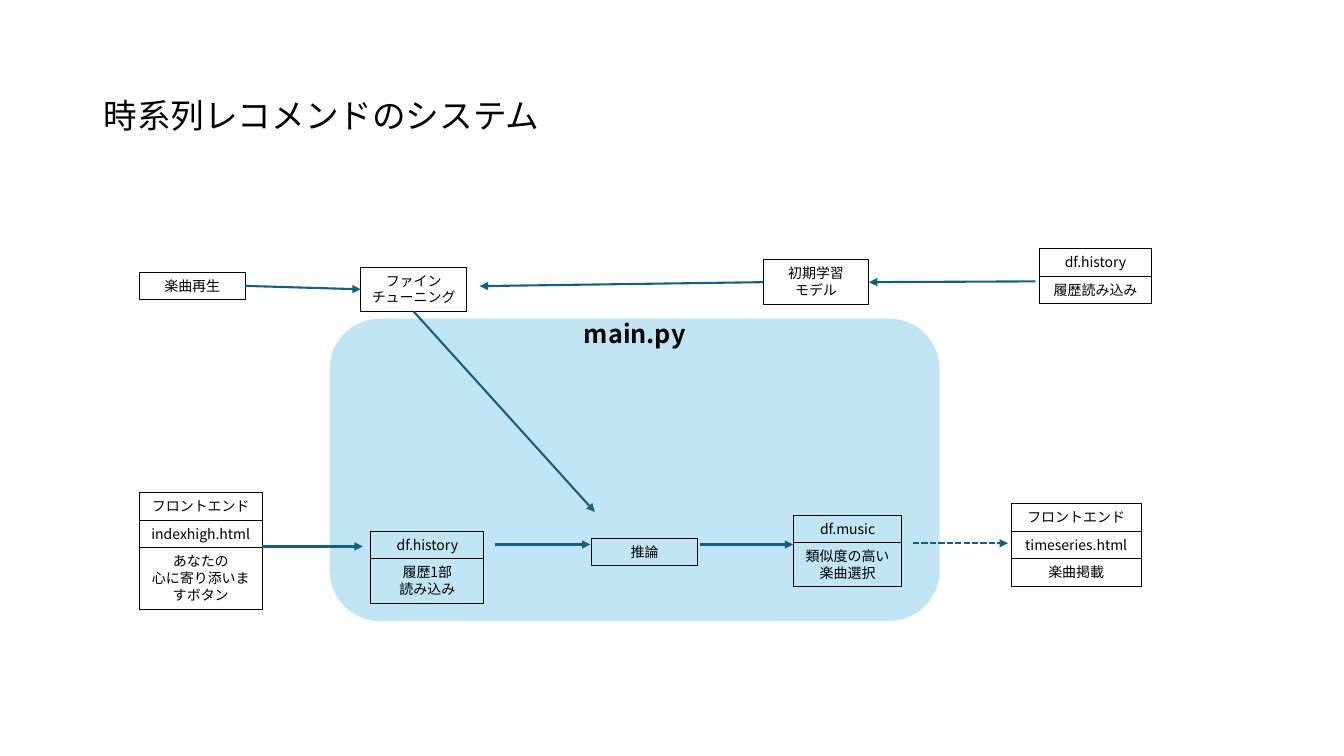
from lxml import etree
from pptx import Presentation
from pptx.dml.color import RGBColor
from pptx.enum.dml import MSO_LINE_DASH_STYLE as Dash
from pptx.enum.shapes import MSO_CONNECTOR as Connector, MSO_SHAPE as Shape
from pptx.enum.text import MSO_ANCHOR as Anchor, MSO_AUTO_SIZE as AutoSize, PP_ALIGN as Align
from pptx.oxml.ns import qn
from pptx.util import Cm, Pt

TOP, LEFT, BOTTOM, RIGHT = 0, 1, 2, 3


def color(value):
    return RGBColor.from_string(value)


class Diagram:
    font = "Noto Sans CJK JP"
    ink, panel_fill, arrow_line = "000000", "C1E5F5", "156082"
    line_height, box_padding = 0.43, 0.26

    def __init__(self, page):
        self.shapes = page.shapes

    def set_text(self, frame, text, size, align=Align.CENTER, bold=False):
        frame.word_wrap = True
        frame.text = text
        for para in frame.paragraphs:
            para.alignment = align
            font = para.font
            font.name, font.size, font.bold = self.font, Pt(size), bold
            font.color.rgb = color(self.ink)
            latin = font._element.find(qn("a:latin"))
            east_asian = etree.Element(qn("a:ea"), typeface=self.font)
            latin.addnext(east_asian)

    def label(self, text, left, top, width, height, size, **style):
        box = self.shapes.add_textbox(Cm(left), Cm(top), Cm(width), Cm(height))
        box.text_frame.vertical_anchor = Anchor.MIDDLE
        self.set_text(box.text_frame, text, size, **style)

    def panel(self, left, top, width, height):
        box = self.shapes.add_shape(Shape.ROUNDED_RECTANGLE, Cm(left), Cm(top), Cm(width), Cm(height))
        box.shadow.inherit = False
        box.fill.solid()
        box.fill.fore_color.rgb = color(self.panel_fill)
        box.line.fill.background()

    def stack(self, left, top, width, *rows):
        """Pile up boxes, each given as (text, number of lines)."""
        for text, lines in rows:
            height = self.box_padding + self.line_height * lines
            box = self.shapes.add_shape(Shape.RECTANGLE, Cm(left), Cm(top), Cm(width), Cm(height))
            box.shadow.inherit = False
            box.fill.background()
            box.line.color.rgb = color(self.ink)
            box.line.width = Pt(0.75)
            box.text_frame.vertical_anchor = Anchor.TOP
            self.set_text(box.text_frame, text, 10)
            box.text_frame.auto_size = AutoSize.SHAPE_TO_FIT_TEXT
            top += height
        return box

    def arrow(self, start, end, begin=None, finish=None, dashed=False):
        """Draw an arrow; begin and finish are (box, side) joints."""
        line = self.shapes.add_connector(Connector.STRAIGHT, *map(Cm, start + end))
        line.line.color.rgb = color(self.arrow_line)
        line.line.width = Pt(1.5)
        if dashed:
            line.line.dash_style = Dash.SQUARE_DOT
        if begin:
            line.begin_connect(*begin)
        if finish:
            line.end_connect(*finish)
        etree.SubElement(line.get_or_add_ln(), qn("a:tailEnd"), type="triangle")
        etree.SubElement(line._element.spPr, qn("a:effectLst"))


def main():
    deck = Presentation()
    deck.slide_width, deck.slide_height = Cm(33.87), Cm(19.05)
    diagram = Diagram(deck.slides.add_slide(deck.slide_layouts[6]))

    # Backdrop and headings
    diagram.panel(8.31, 8.03, 15.37, 7.62)
    diagram.label("main.py", 8.31, 7.9, 15.37, 1, 18, bold=True)
    diagram.label("時系列レコメンドのシステム", 2.36, 1.07, 29.21, 3.68, 24, align=Align.LEFT)

    # Training row
    playback = diagram.stack(3.51, 6.86, 2.67, ("楽曲再生", 1))
    tuning = diagram.stack(9.09, 6.73, 2.67, ("ファインチューニング", 2))
    model = diagram.stack(19.23, 6.55, 2.67, ("初期学習\nモデル", 2))
    diagram.stack(26.19, 6.27, 2.84, ("df.history", 1), ("履歴読み込み", 1))

    # Inference row
    diagram.stack(3.51, 12.42, 3.1, ("フロントエンド", 1), ("indexhigh.html", 1),
                  ("あなたの\n心に寄り添いますボタン", 3))
    diagram.stack(9.35, 13.39, 2.84, ("df.history", 1), ("履歴1部\n読み込み", 2))
    diagram.stack(14.91, 13.56, 2.67, ("推論", 1))
    diagram.stack(19.99, 12.98, 2.74, ("df.music", 1), ("類似度の高い楽曲選択", 2))
    diagram.stack(25.48, 12.7, 3.28, ("フロントエンド", 1), ("timeseries.html", 1), ("楽曲掲載", 1))

    # Arrows of the training row
    diagram.arrow((6.18, 7.21), (9.07, 7.21), (playback, RIGHT), (tuning, LEFT))
    diagram.arrow((26.09, 7.09), (21.9, 7.09), finish=(model, RIGHT))
    diagram.arrow((19.2, 7.19), (12.09, 7.21), begin=(model, LEFT))
    diagram.arrow((10.36, 7.9), (14.99, 12.9), begin=(tuning, BOTTOM))

    # Arrows of the inference row
    diagram.arrow((6.6, 13.77), (9.14, 13.77))
    diagram.arrow((12.47, 13.72), (14.88, 13.72))
    diagram.arrow((17.63, 13.72), (19.99, 13.72))
    diagram.arrow((23.01, 13.69), (25.4, 13.69), dashed=True)

    deck.save("out.pptx")


if __name__ == "__main__":
    main()
